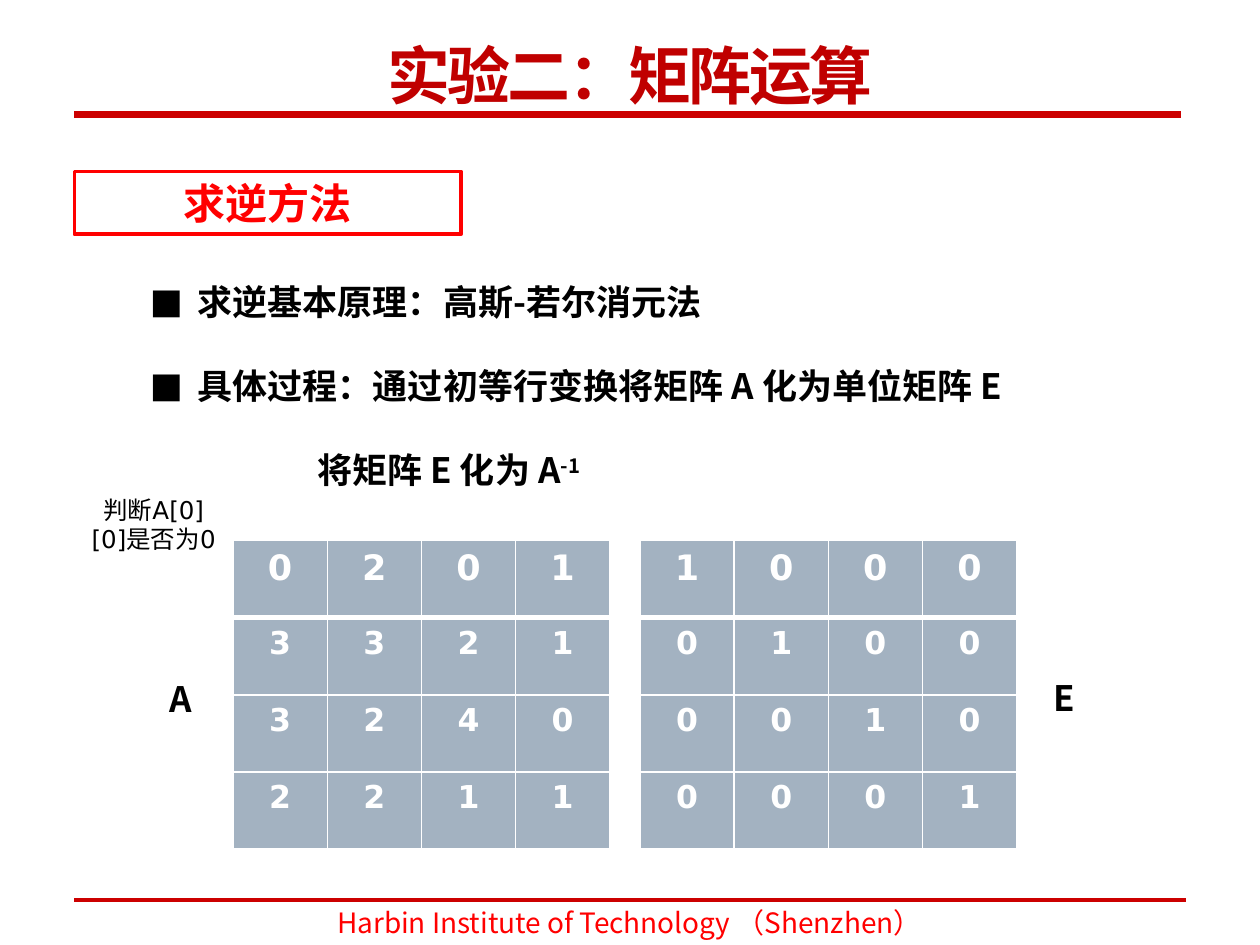
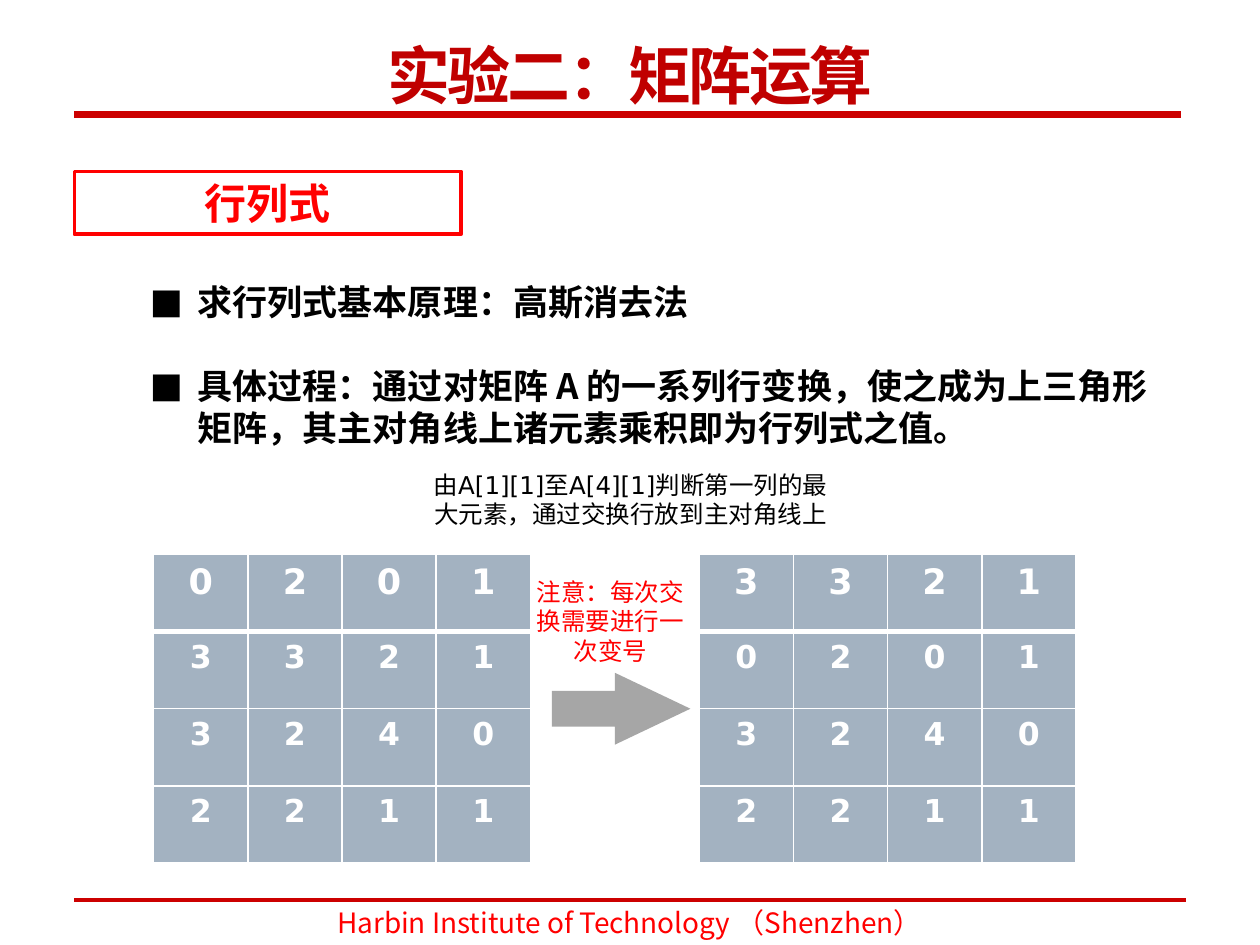
from dataclasses import dataclass

from lxml import etree
from pptx import Presentation
from pptx.dml.color import RGBColor
from pptx.enum.shapes import MSO_CONNECTOR, MSO_SHAPE
from pptx.enum.text import MSO_ANCHOR, MSO_AUTO_SIZE, PP_ALIGN
from pptx.oxml.ns import qn
from pptx.util import Emu, Pt

# Shared look: 100 px to the inch
SCALE = 9144
RED, RULE, WINE = "FF0000", "CC0000", "C00000"
BLACK, WHITE, STEEL, GREY = "000000", "FFFFFF", "A3B2C1", "A6A6A6"
SANS, HAN, FOOT = "DejaVu Sans", "Noto Sans CJK SC", "Noto Sans CJK JP"
LEFT, CENTER = PP_ALIGN.LEFT, PP_ALIGN.CENTER
TOP, MIDDLE, BOTTOM = MSO_ANCHOR.TOP, MSO_ANCHOR.MIDDLE, MSO_ANCHOR.BOTTOM
RECT, ARROW = MSO_SHAPE.RECTANGLE, MSO_SHAPE.RIGHT_ARROW
STRAIGHT = MSO_CONNECTOR.STRAIGHT
FIXED = MSO_AUTO_SIZE.NONE
LEAD = 1.2
TITLE = "实验二：矩阵运算"
SCHOOL = "Harbin Institute of Technology （Shenzhen）"


@dataclass
class Box:
    x: int
    y: int
    w: int
    h: int

    def emu(self) -> list[Emu]:
        return [px(n) for n in (self.x, self.y, self.w, self.h)]


@dataclass
class Style:
    size: int
    font: str
    color: str = BLACK
    bold: bool = False
    align: PP_ALIGN = CENTER


@dataclass
class Item:
    text: str
    power: str = ""
    indent: int = 88
    hang: int = 38


@dataclass
class Note:
    text: str
    box: Box
    color: str = BLACK


@dataclass
class Grid:
    x: int
    y: int
    rows: list[str]


@dataclass
class Label:
    text: str
    x: int
    y: int


HEAD = Style(36, SANS, WINE, True)
TOPIC = Style(24, HAN, RED, True)
BODY = Style(20, HAN, BLACK, True, LEFT)
FOOTER = Style(16, FOOT, RED)


def px(n: int) -> Emu:
    return Emu(n * SCALE)


def rgb(code: str) -> RGBColor:
    return RGBColor.from_string(code)


# Text helpers
def paint(para, style: Style) -> None:
    para.alignment = style.align
    para.line_spacing = Pt(style.size * LEAD)
    for run in para.runs:
        font = run.font
        font.size, font.bold, font.name = Pt(style.size), style.bold, style.font
        font.color.rgb = rgb(style.color)
        east = HAN if style.font == SANS else style.font
        etree.SubElement(font._element, qn("a:ea"), typeface=east)


def setup(frame, anchor: MSO_ANCHOR = TOP, pad: int = 10) -> None:
    frame.word_wrap = True
    frame.auto_size = FIXED
    frame.vertical_anchor = anchor
    frame.margin_left = frame.margin_right = px(pad)
    frame.margin_top = frame.margin_bottom = px(5)


def write(slide, box: Box, text: str, style: Style, pad: int = 10) -> None:
    frame = slide.shapes.add_textbox(*box.emu()).text_frame
    setup(frame, pad=pad)
    frame.text = text
    paint(frame.paragraphs[0], style)


# Parts on every slide
def rule(slide, x1: int, x2: int, y: int, width: float) -> None:
    line = slide.shapes.add_connector(STRAIGHT, px(x1), px(y), px(x2), px(y))
    line.line.color.rgb = rgb(RULE)
    line.line.width = Pt(width)
    etree.SubElement(line._element.spPr, qn("a:effectLst"))


def frame_slide(deck, topic: str):
    slide = deck.slides.add_slide(deck.slide_layouts[5])
    rule(slide, 59, 937, 91, 4)
    rule(slide, 59, 941, 714, 2.25)
    write(slide, Box(169, 714, 661, 36), SCHOOL, FOOTER)

    title = slide.shapes.title
    title.left, title.top, title.width, title.height = Box(114, 21, 772, 68).emu()
    setup(title.text_frame, BOTTOM)
    title.text_frame.margin_bottom = 0
    title.text_frame.text = TITLE
    para = title.text_frame.paragraphs[0]
    paint(para, HEAD)
    para.runs[0].font._element.set("spc", "-150")

    # Topic box
    shape = slide.shapes.add_shape(RECT, *Box(59, 136, 307, 50).emu())
    shape.shadow.inherit = False
    shape.fill.background()
    shape.line.color.rgb = rgb(RED)
    shape.line.width = Pt(2)
    setup(shape.text_frame, MIDDLE)
    shape.text_frame.text = topic
    paint(shape.text_frame.paragraphs[0], TOPIC)
    return slide


# Bulleted list
def bullets(slide, items: list[Item], height: int) -> None:
    frame = slide.shapes.add_textbox(*Box(59, 218, 869, height).emu()).text_frame
    setup(frame)
    for i, item in enumerate(items):
        para = frame.add_paragraph() if i else frame.paragraphs[0]
        para.text = item.text
        if item.power:
            para.add_run().text = item.power
        paint(para, BODY)
        if item.power:
            para.runs[-1].font._element.set("baseline", "30000")
        para.space_before = para.space_after = Pt(12)
        props = para._p.get_or_add_pPr()
        props.set("marL", str(px(item.indent)))
        props.set("indent", str(px(-item.hang)))
        if item.hang:
            etree.SubElement(props, qn("a:buFont"), typeface=SANS)
            etree.SubElement(props, qn("a:buChar"), char="■")


# Matrix tables
def edge(cell, side: str, width: int) -> None:
    line = etree.SubElement(cell._tc.get_or_add_tcPr(), qn(f"a:{side}"),
                            w=str(Pt(width)))
    fill = etree.SubElement(line, qn("a:solidFill"))
    etree.SubElement(fill, qn("a:srgbClr"), val=WHITE)


def matrix(slide, grid: Grid) -> None:
    count = len(grid.rows)
    box = Box(grid.x, grid.y, 299, 245)
    table = slide.shapes.add_table(count, count, *box.emu()).table
    for r, row in enumerate(grid.rows):
        style = Style(18 if r else 20, SANS, WHITE, True)
        for c, digit in enumerate(row):
            cell = table.cell(r, c)
            for side in ("lnL", "lnR", "lnT", "lnB"):
                thick = (r, side) in ((0, "lnB"), (1, "lnT"))
                edge(cell, side, 3 if thick else 1)
            cell.fill.solid()
            cell.fill.fore_color.rgb = rgb(STEEL)
            cell.text = digit
            paint(cell.text_frame.paragraphs[0], style)


def label(slide, tag: Label) -> None:
    write(slide, Box(tag.x + 50, tag.y, 76, 44), tag.text, BODY)


def note(slide, item: Note) -> None:
    write(slide, item.box, item.text, Style(14, SANS, item.color), 12)


def arrow(slide, box: Box) -> None:
    shape = slide.shapes.add_shape(ARROW, *box.emu())
    shape.shadow.inherit = False
    shape.adjustments[0], shape.adjustments[1] = 0.5, 1.05
    shape.fill.solid()
    shape.fill.fore_color.rgb = rgb(GREY)
    shape.line.fill.background()


# Slide content
START = ["0201", "3321", "3240", "2211"]
SWAP = ["3321", "0201", "3240", "2211"]
UNIT = ["1000", "0100", "0010", "0001"]


def inverse(deck) -> None:
    slide = frame_slide(deck, "求逆方法")
    bullets(slide, [
        Item("求逆基本原理：高斯-若尔消元法"),
        Item("具体过程：通过初等行变换将矩阵 A 化为单位矩阵 E"),
        Item("将矩阵 E 化为 A", "-1", 183, 0),
    ], 178)
    for grid in (Grid(185, 429, START), Grid(508, 429, UNIT)):
        matrix(slide, grid)
    for tag in (Label("A", 75, 533), Label("E", 776, 532)):
        label(slide, tag)
    note(slide, Note("判断A[0][0]是否为0", Box(59, 388, 126, 57)))


def determinant(deck) -> None:
    slide = frame_slide(deck, "行列式")
    bullets(slide, [
        Item("求行列式基本原理：高斯消去法"),
        Item("具体过程：通过对矩阵 A 的一系列行变换，使之成为上三角形矩阵，"
             "其主对角线上诸元素乘积即为行列式之值。"),
    ], 145)
    for grid in (Grid(122, 440, START), Grid(555, 440, SWAP)):
        matrix(slide, grid)
    arrow(slide, Box(438, 534, 110, 57))
    for item in (
        Note("由A[1][1]至A[4][1]判断第一列的最大元素，通过交换行放到主对角线上",
             Box(331, 368, 339, 81)),
        Note("注意：每次交换需要进行一次变号", Box(411, 453, 147, 81), RED),
    ):
        note(slide, item)


def main() -> None:
    deck = Presentation()
    deck.slide_width, deck.slide_height = px(1000), px(750)
    inverse(deck)
    determinant(deck)
    deck.save("out.pptx")


if __name__ == "__main__":
    main()
